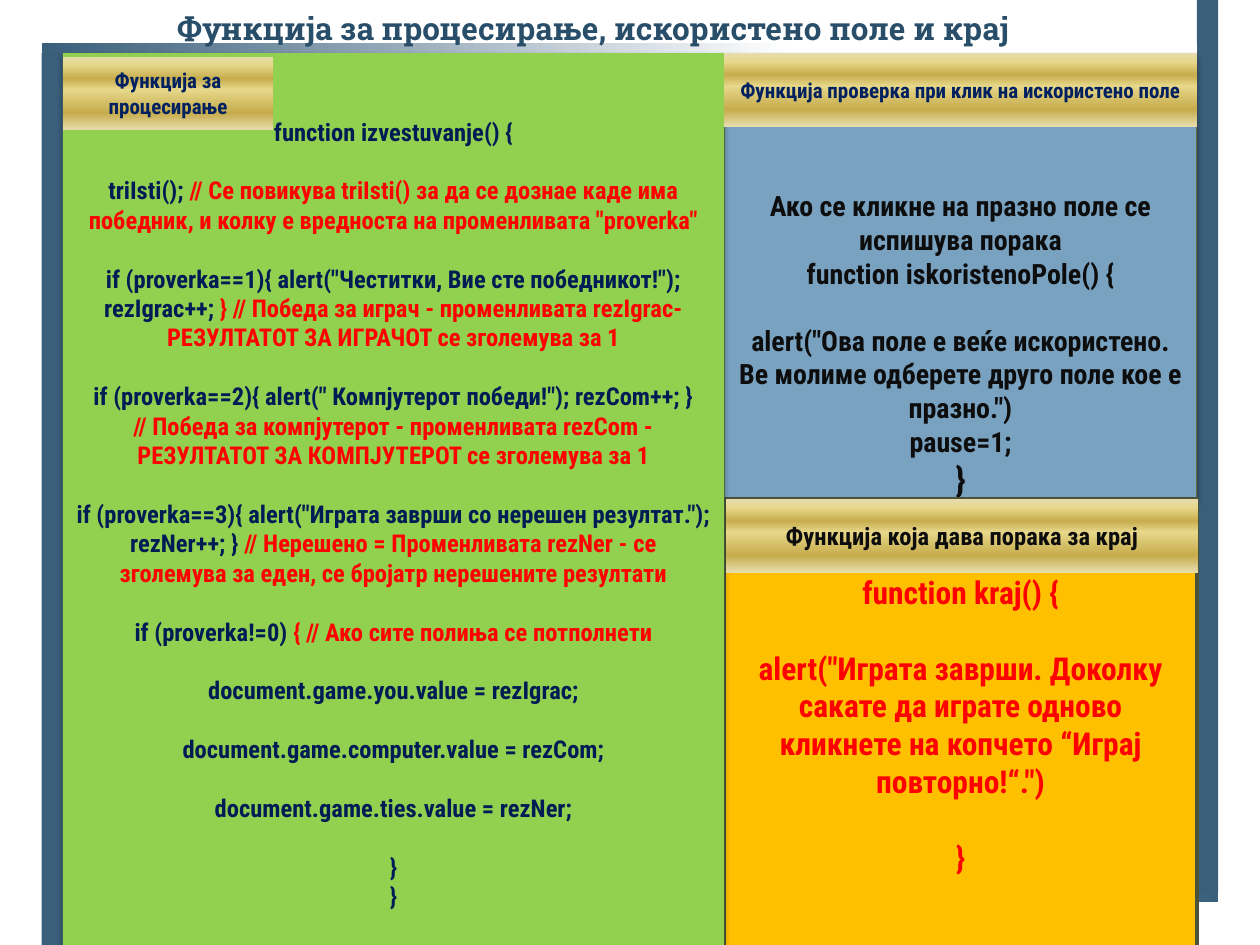
from lxml import etree
from pptx import Presentation
from pptx.dml.color import RGBColor
from pptx.enum import shapes, text
from pptx.oxml import ns
from pptx.util import Cm, Pt

NAVY = RGBColor(0x00, 0x1C, 0x54)
LABEL_BLUE = RGBColor(0x00, 0x20, 0x60)
TITLE_BLUE = RGBColor(0x28, 0x4E, 0x6A)
FRAME_BLUE = RGBColor(0x3A, 0x5F, 0x7B)
BLACK = RGBColor(0x0D, 0x0D, 0x0D)
WHITE = RGBColor(0xFF, 0xFF, 0xFF)
RED = RGBColor(0xFF, 0x00, 0x00)
GREEN = RGBColor(0x92, 0xD0, 0x50)
SKY = RGBColor(0x79, 0xA1, 0xC0)
AMBER = RGBColor(0xFF, 0xC0, 0x00)
OLIVE = RGBColor(0x62, 0x6D, 0x4A)
DARK_OLIVE = RGBColor(0x4A, 0x52, 0x39)
GOLD_PALE = RGBColor(0xE6, 0xDC, 0xAC)
GOLD_LIGHT = RGBColor(0xE6, 0xD7, 0x8A)
GOLD_DARK = RGBColor(0xC7, 0xAC, 0x4C)

GOLD = [(0, GOLD_PALE), (12, GOLD_LIGHT), (30, GOLD_DARK),
        (45, GOLD_LIGHT), (77, GOLD_DARK), (100, GOLD_PALE)]
FADE = [(0, FRAME_BLUE), (65, WHITE), (100, WHITE)]

BODY_FONT = "Roboto Condensed"
TITLE_FONT = "Roboto Slab"
LINE_HEIGHT = 1.2

# Shared edges of the layout, in centimetres
LEFT, MIDDLE, RIGHT = 1.27, 14.6, 24.13
TOP, SPLIT, BOTTOM = 1.07, 10.06, 19.05
LABEL_HEIGHT = 1.48
BAR, STRIP = 0.43, 0.2


def set_gradient(shape, stops, angle):
    """Fill with (percent, colour) stops; the angle runs clockwise."""
    properties = shape._element.spPr
    gradient = etree.Element(ns.qn("a:gradFill"), rotWithShape="1")
    stop_list = etree.SubElement(gradient, ns.qn("a:gsLst"))
    for percent, color in stops:
        stop = etree.SubElement(stop_list, ns.qn("a:gs"), pos=str(percent * 1000))
        etree.SubElement(stop, ns.qn("a:srgbClr"), val=str(color))
    etree.SubElement(gradient, ns.qn("a:lin"), ang=str(angle * 60000), scaled="0")
    properties.find(ns.qn("a:prstGeom")).addnext(gradient)


def add_shadow(shape):
    effects = shape._element.spPr.find(ns.qn("a:effectLst"))
    shadow = etree.SubElement(effects, ns.qn("a:outerShdw"), blurRad=str(Pt(3.1)),
                              dist=str(Pt(2)), dir="5400000", rotWithShape="0")
    color = etree.SubElement(shadow, ns.qn("a:srgbClr"), val="000000")
    etree.SubElement(color, ns.qn("a:alpha"), val="35000")


def add_box(slide, left, top, width, height, color=None, stops=None, angle=90,
            line=None, line_width=1):
    shape = slide.shapes.add_shape(shapes.MSO_SHAPE.RECTANGLE, Cm(left), Cm(top),
                                   Cm(width), Cm(height))
    shape.shadow.inherit = False
    if stops:
        set_gradient(shape, stops, angle)
    else:
        shape.fill.solid()
        shape.fill.fore_color.rgb = color
    if line is None:
        shape.line.fill.background()
    else:
        shape.line.color.rgb = line
        shape.line.width = Pt(line_width)
    return shape


def write_text(shape, paragraphs, size, color, font=BODY_FONT, gaps=(), inset=None,
               anchor=text.MSO_ANCHOR.MIDDLE, last_size=None):
    """Write paragraphs of strings or (string, colour) runs.

    gaps holds the paragraphs that stand one line below the one before.
    """
    frame = shape.text_frame
    frame.word_wrap = True
    frame.vertical_anchor = anchor
    if inset is not None:
        frame.margin_top = Cm(inset)
    for index, runs in enumerate(paragraphs):
        paragraph = frame.paragraphs[0] if index == 0 else frame.add_paragraph()
        paragraph.alignment = text.PP_ALIGN.CENTER
        if index in gaps:
            paragraph.space_before = Pt(round(size * LINE_HEIGHT, 1))
        is_last = index == len(paragraphs) - 1
        for content, run_color in [(runs, color)] if isinstance(runs, str) else runs:
            if content == "\n":
                paragraph.add_line_break()
                continue
            run = paragraph.add_run()
            run.text = content
            run.font.name = font
            run.font.size = Pt(last_size if last_size and is_last else size)
            run.font.bold = True
            run.font.color.rgb = run_color


def add_label(slide, left, top, width, content, size=12, color=LABEL_BLUE):
    label = add_box(slide, left, top, width, LABEL_HEIGHT, stops=GOLD)
    write_text(label, [content], size, color)


def add_frame(slide):
    bar_height = 17.98
    left_bar = LEFT - BAR
    add_box(slide, RIGHT, 0, BAR, bar_height, FRAME_BLUE)
    add_box(slide, left_bar, TOP, BAR, bar_height, FRAME_BLUE)
    strip_width = RIGHT - left_bar
    add_box(slide, LEFT, bar_height, strip_width, STRIP, stops=FADE, angle=180)
    add_box(slide, left_bar, TOP - STRIP, strip_width, STRIP, stops=FADE, angle=0)


def add_title(slide):
    title = slide.shapes.add_textbox(Cm(0.43), Cm(0), Cm(23.06), Cm(TOP))
    write_text(title, ["Функција за процесирање, искористено поле и крај"], 18,
               TITLE_BLUE, font=TITLE_FONT, anchor=text.MSO_ANCHOR.BOTTOM)


def add_used_field_panel(slide):
    panel = add_box(slide, MIDDLE, TOP, RIGHT - MIDDLE, SPLIT - TOP, SKY,
                    line=OLIVE, line_width=0.5)
    add_shadow(panel)
    write_text(panel, [
        "Ако се кликне на празно поле се испишува порака",
        "function iskoristenoPole() {",
        "alert(\"Ова поле е веќе искористено. Ве молиме одберете друго поле "
        "кое е празно.\")",
        "pause=1;",
        "}",
    ], 16, BLACK, gaps=(2,), inset=2.74, anchor=text.MSO_ANCHOR.TOP, last_size=20)


def add_end_panel(slide):
    panel = add_box(slide, MIDDLE, SPLIT, RIGHT - MIDDLE, 9.07, AMBER,
                    line=DARK_OLIVE, line_width=2)
    write_text(panel, [
        "function kraj() {",
        "alert(\"Играта заврши. Доколку сакате да играте одново кликнете на "
        "копчето “Играј повторно!“.\")",
        "}",
    ], 18, RED, gaps=(1, 2), inset=1.49, anchor=text.MSO_ANCHOR.TOP)


def add_processing_panel(slide):
    panel = add_box(slide, LEFT, TOP, MIDDLE - LEFT, BOTTOM - TOP, GREEN)
    add_shadow(panel)
    write_text(panel, [
        "function izvestuvanje() {",
        [("triIsti(); ", NAVY),
         ("// Се повикува triIsti() за да се дознае каде има победник, и колку е "
          "вредноста на променливата \"proverka\"", RED)],
        [("if (proverka==1){ alert(\"Честитки, Вие сте победникот!\"); "
          "rezIgrac++; ", NAVY),
         ("} // Победа за играч - променливата rezIgrac- РЕЗУЛТАТОТ ЗА ИГРАЧОТ "
          "се зголемува за 1", RED)],
        [("if (proverka==2){ alert(\" Компјутерот победи!\"); rezCom++; }", NAVY),
         ("\n", NAVY),
         ("// Победа за компјутерот - променливата rezCom - РЕЗУЛТАТОТ ЗА "
          "КОМПЈУТЕРОТ се зголемува за 1", RED)],
        [("if (proverka==3){ alert(\"Играта заврши со нерешен резултат.\"); "
          "rezNer++; } ", NAVY),
         ("// Нерешено = Променливата rezNer - се зголемува за еден, се бројатр "
          "нерешените резултати", RED)],
        [("if (proverka!=0) ", NAVY),
         ("{ // Ако сите полиња се потполнети", RED)],
        "document.game.you.value = rezIgrac;",
        "document.game.computer.value = rezCom;",
        "document.game.ties.value = rezNer;",
        "}",
        "}",
    ], 14, NAVY, gaps=range(1, 10), inset=1.28, anchor=text.MSO_ANCHOR.TOP)


def main():
    presentation = Presentation()
    presentation.slide_width, presentation.slide_height = Cm(25.4), Cm(19.05)
    slide = presentation.slides.add_slide(presentation.slide_layouts[6])

    # Frame and title
    add_frame(slide)
    add_title(slide)

    # Code panels
    add_used_field_panel(slide)
    add_end_panel(slide)
    add_processing_panel(slide)

    # Golden labels
    column = RIGHT - MIDDLE
    add_label(slide, LEFT, 1.14, 4.24, "Функција за процесирање")
    add_label(slide, MIDDLE, TOP, column,
              "Функција проверка при клик на искористено поле")
    add_label(slide, MIDDLE + 0.03, SPLIT, column,
              "Функција која дава порака за крај", size=14, color=BLACK)

    presentation.save("out.pptx")


if __name__ == "__main__":
    main()
